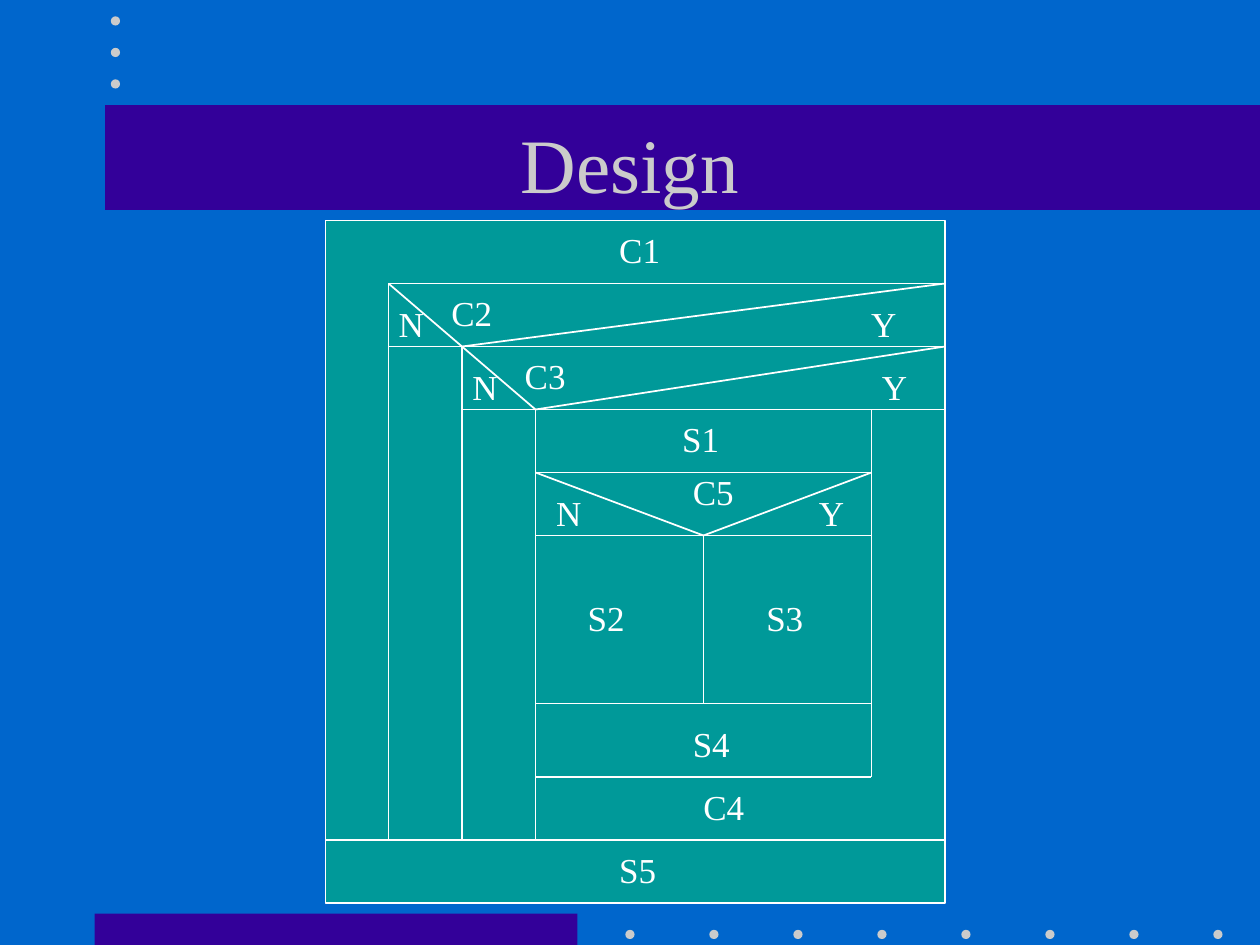
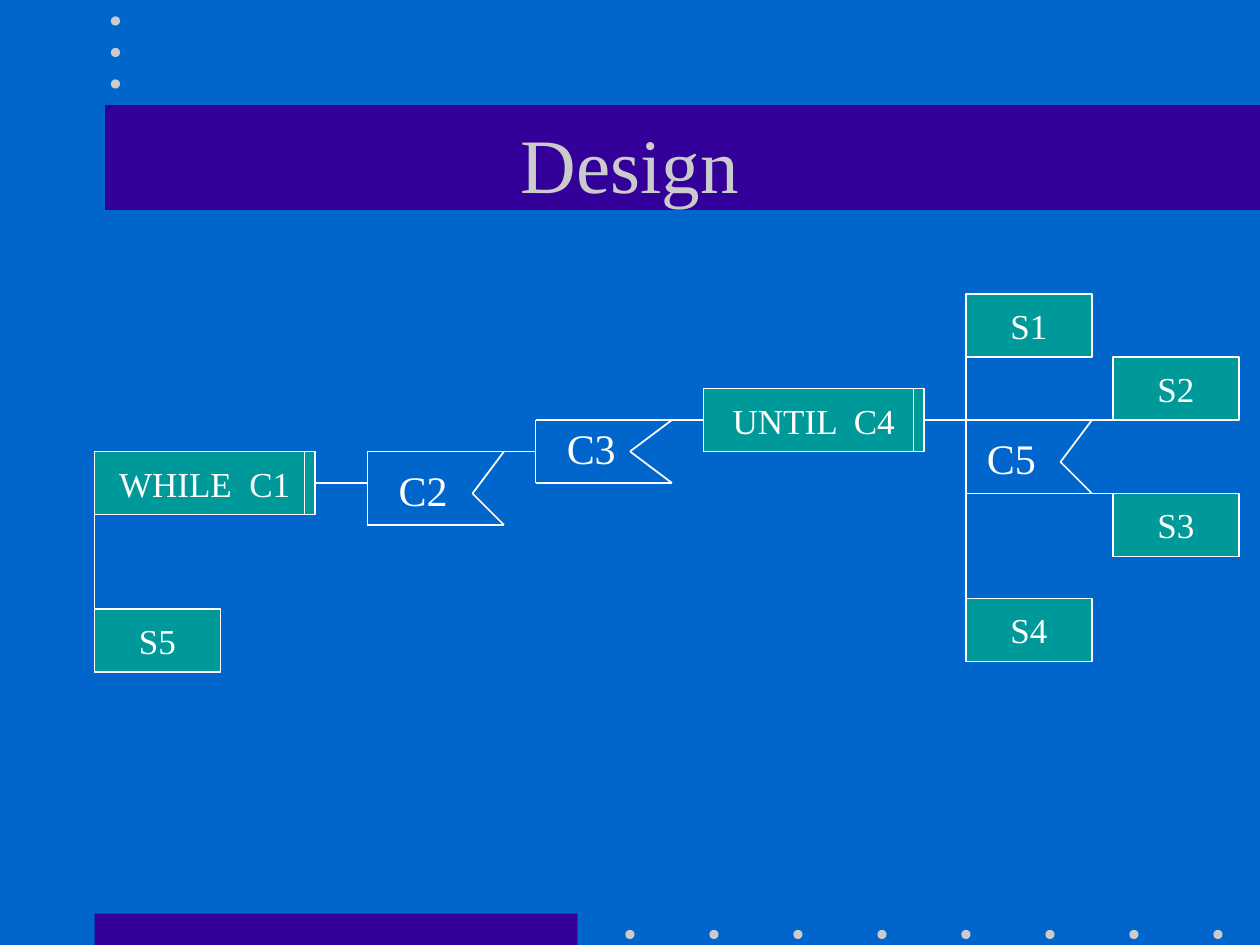
from lxml import etree
from pptx import Presentation
from pptx.dml.color import RGBColor
from pptx.enum.shapes import MSO_CONNECTOR, MSO_SHAPE
from pptx.enum.text import MSO_ANCHOR, PP_ALIGN
from pptx.oxml.ns import qn
from pptx.util import Inches, Pt

RECTANGLE, OVAL = MSO_SHAPE.RECTANGLE, MSO_SHAPE.OVAL
STRAIGHT = MSO_CONNECTOR.STRAIGHT
MIDDLE, TOP = MSO_ANCHOR.MIDDLE, MSO_ANCHOR.TOP
LEFT, CENTER = PP_ALIGN.LEFT, PP_ALIGN.CENTER

BLUE = RGBColor(0x00, 0x66, 0xCC)
VIOLET = RGBColor(0x33, 0x00, 0x99)
TEAL = RGBColor(0x00, 0x99, 0x99)
SILVER = RGBColor(0xCB, 0xCB, 0xCB)
WHITE = RGBColor(0xFF, 0xFF, 0xFF)
FONT = "Times New Roman"

# The slide is a grid of 120 columns and 90 rows of square cells
prs = Presentation()
prs.slide_width, prs.slide_height = Inches(10), Inches(7.5)
CELL = prs.slide_width / 120
DOT = 0.88


def add_filled(slide, kind, area, fill):
    shape = slide.shapes.add_shape(kind, *(round(n * CELL) for n in area))
    shape.shadow.inherit = False
    shape.fill.solid()
    shape.fill.fore_color.rgb = fill
    shape.line.fill.background()
    return shape


def write(frame, text, size, color, align, anchor, wrap):
    frame.text = text
    frame.word_wrap = wrap
    frame.vertical_anchor = anchor
    paragraph = frame.paragraphs[0]
    paragraph.alignment = align
    font_format = {"name": FONT, "size": Pt(size), "bold": False}
    for attribute, value in font_format.items():
        setattr(paragraph.runs[0].font, attribute, value)
    paragraph.runs[0].font.color.rgb = color


# Content: boxes are (text, column, row, width, height),
# lines are (column, row, column, row), labels are (text, column, middle row)
nested_chart = {
    "boxes": [("", 31, 21, 59, 65)],
    "lines": [
        # loop and condition frames
        (31, 80, 90, 80), (37, 80, 37, 27), (37, 27, 90, 27),
        (37, 33, 90, 33), (44, 33, 44, 80), (44, 39, 90, 39),
        (51, 39, 51, 80), (51, 74, 83, 74), (83, 74, 83, 39),
        (51, 45, 83, 45), (51, 67, 83, 67), (51, 51, 83, 51),
        (67, 51, 67, 67),
        # slanted condition dividers
        (37, 27, 51, 39), (44, 33, 90, 27), (51, 39, 90, 33),
        (51, 45, 67, 51), (67, 51, 83, 45),
    ],
    "labels": [
        ("C1", 59, 24),
        ("N", 38, 31), ("C2", 43, 30), ("Y", 83, 31),
        ("N", 45, 37), ("C3", 50, 36), ("Y", 84, 37),
        ("S1", 65, 42),
        ("N", 53, 49), ("C5", 66, 47), ("Y", 78, 49),
        ("S2", 56, 59), ("S3", 73, 59),
        ("S4", 66, 71), ("C4", 67, 77), ("S5", 59, 83),
    ],
    "label_size": 20,
}
tree_chart = {
    "boxes": [
        ("WHILE  C1", 9, 43, 21, 6), ("UNTIL  C4", 67, 37, 21, 6),
        ("S5", 9, 58, 12, 6), ("S1", 92, 28, 12, 6), ("S4", 92, 57, 12, 6),
        ("S2", 106, 34, 12, 6), ("S3", 106, 47, 12, 6),
    ],
    "lines": [
        # loop bars and branches between boxes
        (29, 43, 29, 49), (87, 37, 87, 43), (9, 43, 9, 58),
        (30, 46, 35, 46), (88, 40, 92, 40), (92, 28, 92, 57),
        # condition C2
        (35, 43, 35, 50), (35, 43, 51, 43), (35, 50, 48, 50),
        (48, 50, 45, 47), (45, 47, 48, 43),
        # condition C3
        (51, 40, 51, 46), (51, 40, 67, 40), (51, 46, 64, 46),
        (64, 46, 60, 43), (60, 43, 64, 40),
        # condition C5
        (92, 40, 106, 40), (106, 47, 92, 47),
        (104, 40, 101, 44), (101, 44, 104, 47),
    ],
    "labels": [("C2", 38, 47), ("C3", 54, 43), ("C5", 94, 44)],
    "label_size": 24,
}

title_only = prs.slide_layouts[5]
slides = [prs.slides.add_slide(title_only) for _ in range(2)]

# Shared background, bands and dots, moved onto the master
master = prs.slide_master
master.background.fill.solid()
master.background.fill.fore_color.rgb = BLUE
decor = [add_filled(slides[0], RECTANGLE, band, VIOLET)
         for band in [(9, 87, 46, 3), (10, 10, 110, 10)]]
dot_centres = [(60 + 8 * i, 89) for i in range(8)]
dot_centres += [(11, 2 + 3 * i) for i in range(3)]
for column, row in dot_centres:
    area = (column - DOT / 2, row - DOT / 2, DOT, DOT)
    decor.append(add_filled(slides[0], OVAL, area, SILVER))
for part in reversed(decor):
    master.shapes.element.insert(2, part.element)

for slide, chart in zip(slides, (nested_chart, tree_chart)):
    # Title
    title = slide.shapes.title
    title_area = {"left": 9, "top": 8, "width": 102, "height": 15}
    for attribute, cells in title_area.items():
        setattr(title, attribute, round(cells * CELL))
    write(title.text_frame, "Design", 44, SILVER, CENTER, MIDDLE, True)

    # Boxes
    for text, *area in chart["boxes"]:
        box = add_filled(slide, RECTANGLE, area, TEAL)
        box.line.color.rgb = WHITE
        box.line.width = Pt(1)
        if text:
            write(box.text_frame, text, 20, WHITE, CENTER, MIDDLE, False)

    # Lines
    for ends in chart["lines"]:
        line = slide.shapes.add_connector(
            STRAIGHT, *(round(n * CELL) for n in ends))
        line.line.color.rgb = WHITE
        line.line.width = Pt(1)
        etree.SubElement(line.element.spPr, qn("a:effectLst"))

    # Labels: text starts at the column and is centred on the row
    size = chart["label_size"]
    for text, column, row in chart["labels"]:
        label = slide.shapes.add_textbox(
            round(column * CELL - Inches(0.1)),
            round((row - 0.14 * size) * CELL),
            round(0.35 * size * CELL), round(0.26 * size * CELL))
        write(label.text_frame, text, size, WHITE, LEFT, TOP, True)

prs.save("out.pptx")
